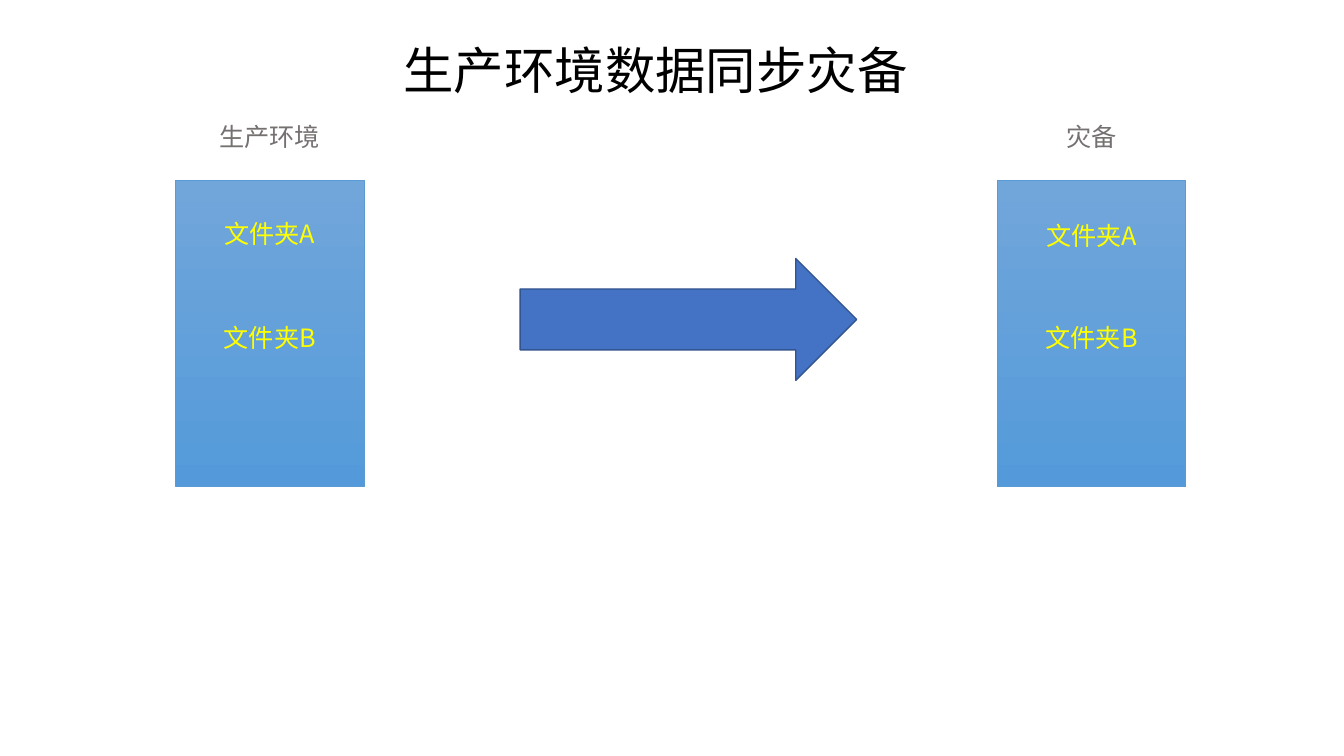
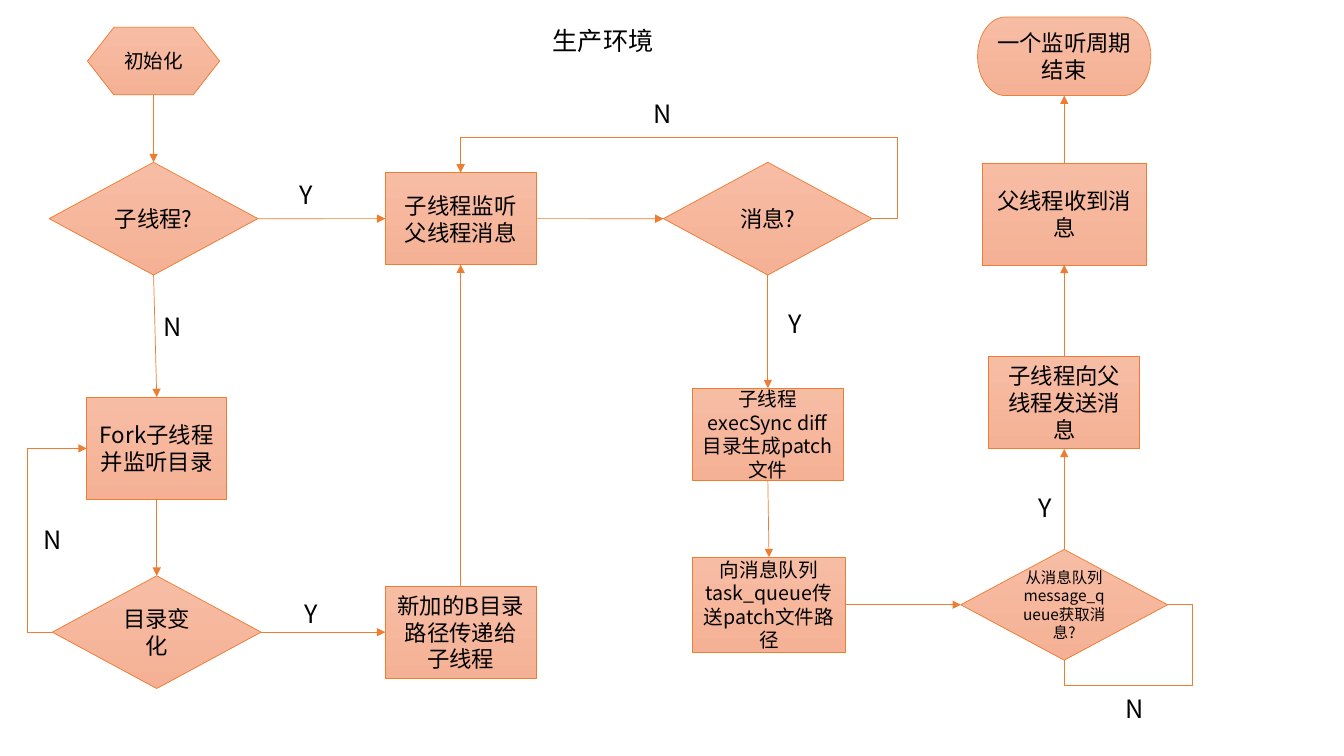
"""Build a data-sync overview slide and its process flowchart."""
from lxml.etree import SubElement
from pptx import Presentation
from pptx.dml.color import RGBColor
from pptx.enum.shapes import MSO_CONNECTOR, MSO_SHAPE
from pptx.enum.text import MSO_ANCHOR, PP_ALIGN
from pptx.oxml.ns import qn
from pptx.util import Cm, Pt

COLORS = {
    "ink": "000000", "caption": "767171", "folder": "FFFF00",
    "blue_top": "71A6DA", "blue_bottom": "549ADA", "blue_line": "5B9BD5",
    "arrow": "4472C4", "arrow_line": "325490",
    "orange_top": "F7BCA4", "orange_bottom": "F4B196", "orange_line": "ED7D31",
}
FONT = "Noto Sans CJK SC"
TOP, LEFT, BOTTOM, RIGHT = range(4)


def rgb(name):
    return RGBColor.from_string(COLORS[name])


class Deck:
    def __init__(self):
        self.presentation = Presentation()
        self.presentation.slide_width = Cm(33.87)
        self.presentation.slide_height = Cm(19.05)
        self.slide = None

    def new_slide(self):
        self.slide = self.presentation.slides.add_slide(self.presentation.slide_layouts[6])

    def frame(self, center, size):
        x, y = center
        width, height = size
        return Cm(x - width / 2), Cm(y - height / 2), Cm(width), Cm(height)

    def set_text(self, shape, text, size, color, anchor):
        text_frame = shape.text_frame
        text_frame.word_wrap = True
        text_frame.vertical_anchor = anchor
        paragraph = text_frame.paragraphs[0]
        paragraph.alignment = PP_ALIGN.CENTER
        run = paragraph.add_run()
        run.text = text
        run.font.size = Pt(size)
        run.font.name = FONT
        run.font.color.rgb = rgb(color)
        SubElement(run.font._element, qn("a:ea"), typeface=FONT)
        return paragraph

    def label(self, text, center, width=2.08, color="ink"):
        box = self.slide.shapes.add_textbox(*self.frame(center, (width, 1.02)))
        self.set_text(box, text, 18, color, MSO_ANCHOR.TOP)

    def title(self, text, center):
        box = self.slide.shapes.add_textbox(*self.frame(center, (13.74, 1.73)))
        paragraph = self.set_text(box, text, 36, "ink", MSO_ANCHOR.BOTTOM)
        paragraph.line_spacing = 0.9

    def shape(self, kind, center, size, line, weight=0.5):
        shape = self.slide.shapes.add_shape(kind, *self.frame(center, size))
        shape.shadow.inherit = False
        shape.line.color.rgb = rgb(line)
        shape.line.width = Pt(weight)
        return shape

    def gradient_shape(self, kind, center, size, hue):
        shape = self.shape(kind, center, size, f"{hue}_line")
        shape.fill.gradient()
        shape.fill.gradient_angle = 270
        for stop, end in zip(shape.fill.gradient_stops, ("top", "bottom")):
            stop.color.rgb = rgb(f"{hue}_{end}")
        return shape

    def block_arrow(self, center, size):
        shape = self.shape(MSO_SHAPE.RIGHT_ARROW, center, size, "arrow_line", 1)
        shape.fill.solid()
        shape.fill.fore_color.rgb = rgb("arrow")

    def node(self, kind, text, center, size, font_size=16):
        shape = self.gradient_shape(kind, center, size, "orange")
        self.set_text(shape, text, font_size, "ink", MSO_ANCHOR.MIDDLE)
        return shape

    def connect(self, start, start_side, end, end_side, turn_x=None, turn_y=None, arrow=True):
        kind = MSO_CONNECTOR.STRAIGHT if turn_x is None else MSO_CONNECTOR.ELBOW
        connector = self.slide.shapes.add_connector(kind, 0, 0, 0, 0)
        connector.begin_connect(start, start_side)
        connector.end_connect(end, end_side)
        connector.line.color.rgb = rgb("orange_line")
        connector.line.width = Pt(0.5)
        properties = connector.element.spPr
        if arrow:
            SubElement(properties.find(qn("a:ln")), qn("a:tailEnd"), type="triangle")
        SubElement(properties, qn("a:effectLst"))
        if turn_x is not None:
            self.bend(connector, turn_x, turn_y)

    def bend(self, connector, turn_x, turn_y):
        ratios = [(Cm(turn_x) - connector.begin_x) / (connector.end_x - connector.begin_x)]
        if turn_y is not None:
            ratios.append((Cm(turn_y) - connector.begin_y) / (connector.end_y - connector.begin_y))
        geometry = connector.element.spPr.find(qn("a:prstGeom"))
        geometry.set("prst", f"bentConnector{len(ratios) + 2}")
        values = geometry.find(qn("a:avLst"))
        if values is None:
            values = SubElement(geometry, qn("a:avLst"))
        for number, ratio in enumerate(ratios, 1):
            SubElement(values, qn("a:gd"), name=f"adj{number}", fmla=f"val {round(ratio * 100000)}")


def build_overview(deck):
    deck.new_slide()
    deck.title("生产环境数据同步灾备", (16.52, 1.78))
    for name, x, folder_y in (("生产环境", 6.8, 5.89), ("灾备", 27.51, 5.94)):
        deck.gradient_shape(MSO_SHAPE.RECTANGLE, (x, 8.41), (4.75, 7.72), "blue")
        deck.label(name, (x, 3.45), 3.58, "caption")
        deck.label("文件夹A", (x, folder_y), 3.58, "folder")
        deck.label("文件夹B", (x, 8.51), 3.58, "folder")
    deck.block_arrow((17.35, 8.05), (8.48, 3.07))


def build_flowchart(deck):
    deck.new_slide()
    process, decision = MSO_SHAPE.FLOWCHART_PROCESS, MSO_SHAPE.FLOWCHART_DECISION
    box, diamond = (3.8, 2.32), (5.26, 2.84)
    fork_x, listen_x, diff_x, end_x = 3.95, 11.61, 19.35, 26.82
    top_y, queue_y, change_y = 5.51, 15.24, 15.93

    start = deck.node(MSO_SHAPE.FLOWCHART_PREPARATION, "初始化", (3.87, 1.54), (3.33, 1.7), 14)
    is_child = deck.node(decision, "子线程?", (3.87, top_y), diamond)
    fork = deck.node(process, "Fork子线程并监听目录", (fork_x, 11.3), (3.53, 2.59))
    change = deck.node(decision, "目录变化", (fork_x, change_y), diamond)
    listen = deck.node(process, "子线程监听父线程消息", (listen_x, top_y), box)
    pass_path = deck.node(process, "新加的B目录路径传递给子线程", (listen_x, change_y), box)
    message = deck.node(decision, "消息?", (diff_x, top_y), diamond)
    diff = deck.node(process, "子线程execSync diff目录生成patch文件", (diff_x, 10.94), box, 14)
    queue = deck.node(process, "向消息队列task_queue传送patch文件路径",
                      (19.38, queue_y), (3.86, 2.4), 14)
    fetch = deck.node(decision, "从消息队列message_queue获取消息?",
                      (end_x, queue_y), (5.21, 2.79), 11)
    send = deck.node(process, "子线程向父线程发送消息", (end_x, 10.15), box)
    receive = deck.node(process, "父线程收到消息", (end_x, 5.39), (4.15, 2.57))
    finish = deck.node(MSO_SHAPE.FLOWCHART_TERMINATOR, "一个监听周期结束",
                       (end_x, 1.42), (4.37, 1.98))

    for upper, lower in ((start, is_child), (is_child, fork), (fork, change),
                         (message, diff), (diff, queue)):
        deck.connect(upper, BOTTOM, lower, TOP)
    for lower, upper in ((pass_path, listen), (fetch, send), (send, receive), (receive, finish)):
        deck.connect(lower, TOP, upper, BOTTOM)
    for left, right in ((is_child, listen), (listen, message), (change, pass_path), (queue, fetch)):
        deck.connect(left, RIGHT, right, LEFT)
    deck.connect(change, LEFT, fork, LEFT, turn_x=0.69)
    deck.connect(message, RIGHT, listen, TOP, turn_x=22.61, turn_y=3.47)
    deck.connect(fetch, RIGHT, fetch, BOTTOM, turn_x=30.05, turn_y=17.27, arrow=False)

    for text, x, y in (("Y", 7.72, 4.9), ("N", 4.36, 8.23), ("N", 1.32, 13.61),
                       ("N", 16.71, 2.87), ("Y", 20.04, 8.15), ("Y", 7.85, 15.47),
                       ("Y", 26.34, 12.8), ("N", 28.6, 17.86)):
        deck.label(text, (x, y))
    deck.label("生产环境", (15.2, 1.02), 5.26)


def main():
    deck = Deck()
    build_overview(deck)
    build_flowchart(deck)
    deck.presentation.save("out.pptx")


if __name__ == "__main__":
    main()
